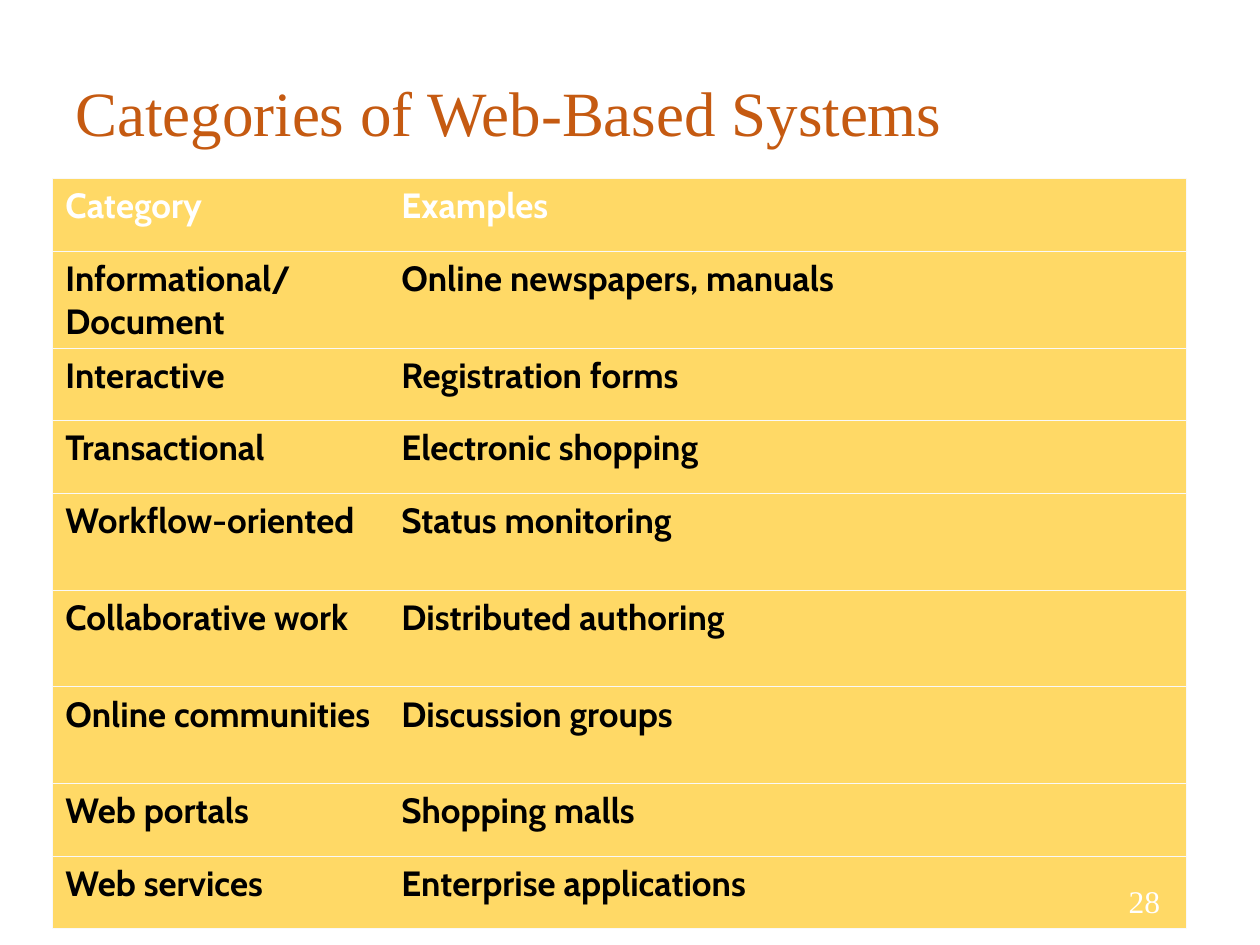
import pptx
import pptx.dml.color
import pptx.enum.text
import pptx.oxml
import pptx.oxml.ns
import pptx.util
from dataclasses import dataclass

Pt = pptx.util.Pt
Color = pptx.dml.color.RGBColor.from_string
Align = pptx.enum.text.PP_ALIGN
Anchor = pptx.enum.text.MSO_ANCHOR


@dataclass(frozen=True)
class Theme:
    serif: str = "Times New Roman"
    sans: str = "Cabin"
    title: str = "C55A11"
    light: str = "FFFFFF"
    dark: str = "000000"
    gold: str = "FFD966"
    rule: str = "F9F9F9"
    big: int = 36
    body: int = 20
    small: int = 18
    line: float = 0.75


class Page:
    def __init__(self, deck, theme):
        self.theme = theme
        self.slide = deck.slides.add_slide(deck.slide_layouts[6])

    def style(self, para, face, size, color, bold=False):
        for run in para.runs:
            run.font.name = face
            run.font.size = Pt(size)
            run.font.bold = bold
            run.font.color.rgb = Color(color)

    def text(self, words, box, size, color, align=Align.LEFT, space=1.0):
        frame = self.slide.shapes.add_textbox(*map(Pt, box)).text_frame
        frame.word_wrap = True
        frame.vertical_anchor = Anchor.MIDDLE
        frame.text = words
        para = frame.paragraphs[0]
        para.alignment = align
        para.line_spacing = space
        self.style(para, self.theme.serif, size, color)

    def edge(self, cell, side, shown):
        props = cell._tc.get_or_add_tcPr()
        paint = (f'<a:solidFill><a:srgbClr val="{self.theme.rule}"/></a:solidFill>'
                 if shown else "<a:noFill/>")
        props.append(pptx.oxml.parse_xml(
            f'<a:ln{side} {pptx.oxml.ns.nsdecls("a")} '
            f'w="{Pt(self.theme.line)}">{paint}</a:ln{side}>'))

    def table(self, rows, box, widths, heights):
        grid = self.slide.shapes.add_table(
            len(rows), len(widths), *map(Pt, box)).table
        grid.horz_banding = False
        for col, width in zip(grid.columns, widths):
            col.width = Pt(width)
        last = len(widths) - 1
        for i, (words, height) in enumerate(zip(rows, heights)):
            grid.rows[i].height = Pt(height)
            color = self.theme.dark if i else self.theme.light
            for j, word in enumerate(words):
                cell = grid.cell(i, j)
                cell.text = word
                self.style(cell.text_frame.paragraphs[0], self.theme.sans,
                           self.theme.body, color, bold=True)
                # Only horizontal rules and the outer frame show
                shown = {"L": j == 0, "R": j == last, "T": True, "B": True}
                for side, on in shown.items():
                    self.edge(cell, side, on)
                cell.fill.solid()
                cell.fill.fore_color.rgb = Color(self.theme.gold)


ROWS = [
    ("Category", "Examples"),
    ("Informational/Document", "Online newspapers, manuals"),
    ("Interactive", "Registration forms"),
    ("Transactional", "Electronic shopping"),
    ("Workflow-oriented", "Status monitoring"),
    ("Collaborative work", "Distributed authoring"),
    ("Online communities", "Discussion groups"),
    ("Web portals", "Shopping malls"),
    ("Web services", "Enterprise applications"),
]
TALL = {1, 4, 5, 6}


def main():
    deck = pptx.Presentation()
    deck.slide_width, deck.slide_height = Pt(720), Pt(540)
    theme = Theme()
    page = Page(deck, theme)

    # Title
    page.text("Categories of Web-Based Systems", (36, 21.6, 648, 90),
              theme.big, theme.title, space=0.9)

    # Category table
    heights = [55.3 if i in TALL else 41.5 for i in range(len(ROWS))]
    page.table(ROWS, (30.2, 102.2, 648, sum(heights)), (192, 456), heights)

    # Page number
    page.text("28", (508, 500.4, 162, 28.8), theme.small, theme.light,
              Align.RIGHT)

    deck.save("out.pptx")


if __name__ == "__main__":
    main()
